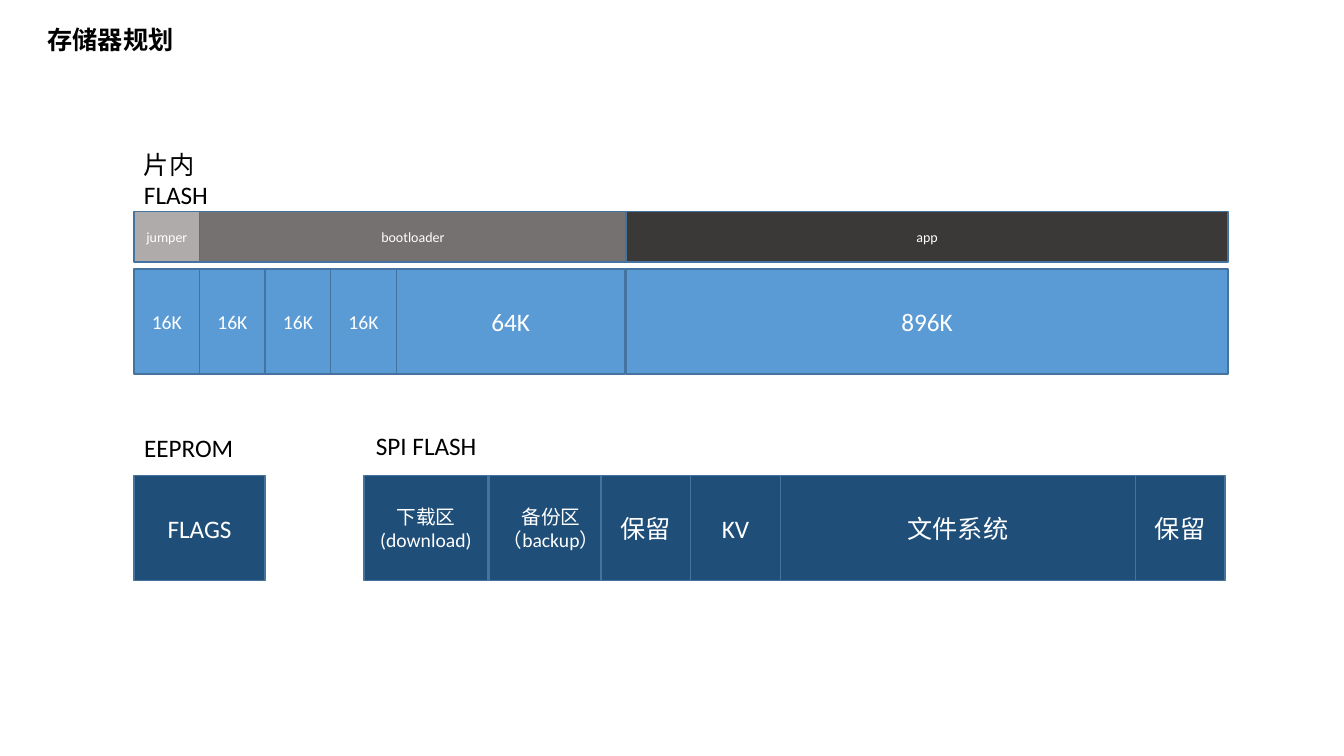
from pptx import Presentation
from pptx import util as u
from pptx.dml.color import RGBColor
from pptx.enum import shapes, text

WHITE = RGBColor(0xFF, 0xFF, 0xFF)
BLACK = RGBColor(0x00, 0x00, 0x00)
BORDER = RGBColor(0x43, 0x73, 0x9E)
BLUE = RGBColor(0x5B, 0x9B, 0xD5)
NAVY = RGBColor(0x1F, 0x4E, 0x79)
LIGHT_GRAY = RGBColor(0xAF, 0xAB, 0xAB)
GRAY = RGBColor(0x76, 0x71, 0x71)
DARK_GRAY = RGBColor(0x3B, 0x38, 0x38)

LEFT = 1.33
SMALL = 0.65
APP_LEFT, APP_WIDTH = 6.21, 5.97
BLOCK_HEIGHT = 1.04


class MemoryMap:
    font = "Calibri"

    def __init__(self, deck):
        self.page = deck.slides.add_slide(deck.slide_layouts[5])

    def add_lines(self, frame, lines, size, color, align, bold=False):
        for index, line in enumerate(lines):
            para = frame.add_paragraph() if index else frame.paragraphs[0]
            para.alignment = align
            span = para.add_run()
            span.text = line
            span.font.name = self.font
            span.font.size = u.Pt(size)
            span.font.bold = bold
            span.font.color.rgb = color

    def title(self, words, left, top, width, height):
        box = self.page.shapes.title
        box.left, box.top = u.Inches(left), u.Inches(top)
        box.width, box.height = u.Inches(width), u.Inches(height)
        frame = box.text_frame
        frame.auto_size = text.MSO_AUTO_SIZE.NONE
        frame.vertical_anchor = text.MSO_ANCHOR.TOP
        self.add_lines(frame, [words], 18, BLACK, text.PP_ALIGN.LEFT, bold=True)

    def label(self, words, left, top, width, wrap=False):
        box = self.page.shapes.add_textbox(
            u.Inches(left), u.Inches(top), u.Inches(width), u.Inches(0.4))
        frame = box.text_frame
        frame.word_wrap = wrap
        self.add_lines(frame, [words], 18, BLACK, text.PP_ALIGN.LEFT)

    def block(self, lines, left, top, width, height, fill, size):
        box = self.page.shapes.add_shape(
            shapes.MSO_SHAPE.RECTANGLE, u.Inches(left), u.Inches(top),
            u.Inches(width), u.Inches(height))
        box.shadow.inherit = False
        box.fill.solid()
        box.fill.fore_color.rgb = fill
        box.line.color.rgb = BORDER
        box.line.width = u.Pt(1)
        frame = box.text_frame
        frame.word_wrap = True
        frame.vertical_anchor = text.MSO_ANCHOR.MIDDLE
        self.add_lines(frame, lines, size, WHITE, text.PP_ALIGN.CENTER)


def main():
    deck = Presentation()
    deck.slide_width, deck.slide_height = u.Inches(13.33), u.Inches(7.5)
    memory = MemoryMap(deck)
    memory.title("存储器规划", 0.37, 0.19, 7.09, 0.4)

    memory.label("片内FLASH", LEFT, 1.43, 1.33, wrap=True)
    memory.label("EEPROM", LEFT, 4.24, 1.09)
    memory.label("SPI FLASH", 3.63, 4.22, 1.2)

    programs = [
        ("jumper", LEFT, SMALL, LIGHT_GRAY),
        ("bootloader", LEFT + SMALL, 4.23, GRAY),
        ("app", APP_LEFT, APP_WIDTH, DARK_GRAY),
    ]
    for name, left, width, fill in programs:
        memory.block([name], left, 2.1, width, 0.5, fill, 10)

    sectors = [("16K", LEFT + SMALL * step, SMALL, 14) for step in range(4)]
    sectors += [("64K", LEFT + SMALL * 4, 2.27, 18),
                ("896K", APP_LEFT, APP_WIDTH, 18)]
    for name, left, width, size in sectors:
        memory.block([name], left, 2.67, width, BLOCK_HEIGHT, BLUE, size)

    partitions = [
        (["FLAGS"], LEFT, 1.3, 18),
        (["下载区", "(download)"], 3.61, 1.23, 14),
        (["备份区", "（backup）"], 4.85, 1.23, 14),
        (["保留"], 5.96, 0.89, 18),
        (["KV"], 6.85, 0.89, 18),
        (["文件系统"], 7.74, 3.52, 18),
        (["保留"], 11.26, 0.89, 18),
    ]
    for lines, left, width, size in partitions:
        memory.block(lines, left, 4.72, width, BLOCK_HEIGHT, NAVY, size)

    deck.save("out.pptx")


if __name__ == "__main__":
    main()
